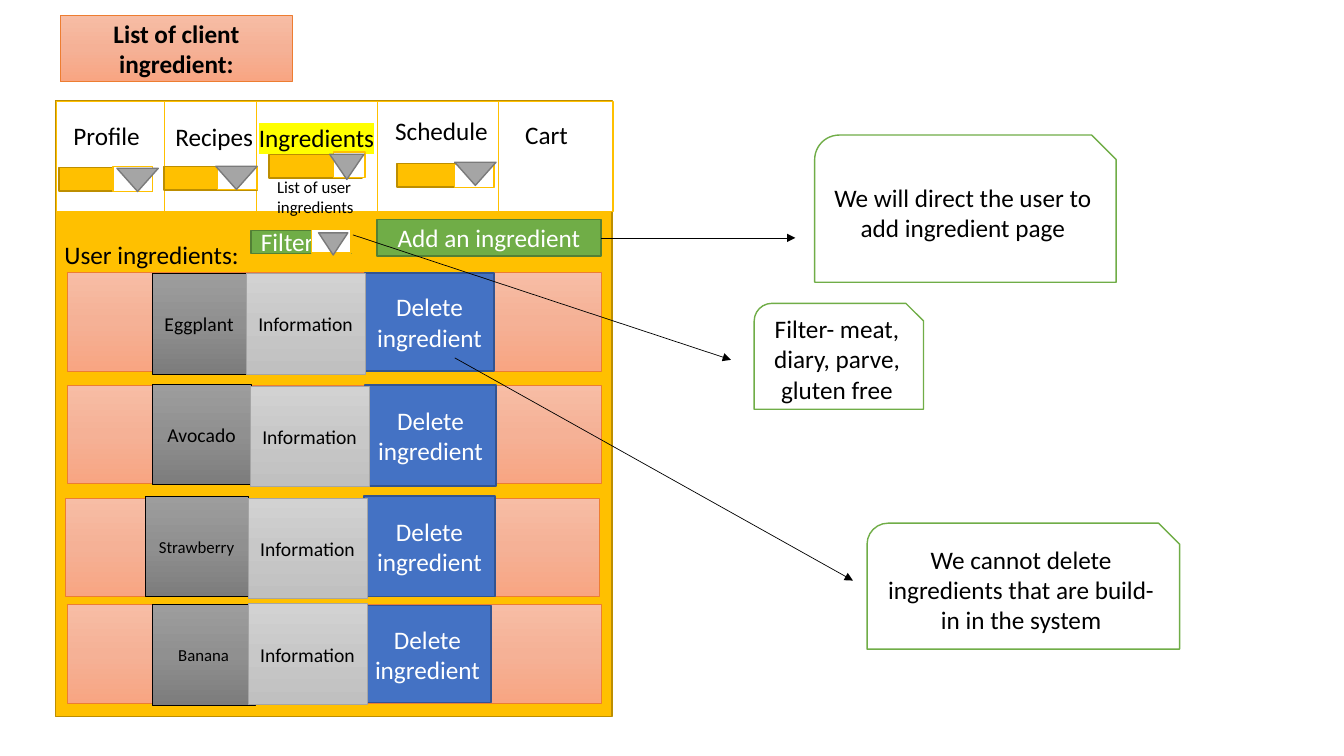
from copy import deepcopy

from pptx import Presentation
from pptx.dml.color import RGBColor
from pptx.enum.shapes import MSO_CONNECTOR, MSO_SHAPE as Shape
from pptx.enum.text import MSO_ANCHOR as Anchor, MSO_AUTO_SIZE as AutoSize, PP_ALIGN as Align
from pptx.oxml.ns import qn
from pptx.util import Inches, Pt

BLACK, WHITE, GOLD, GREEN = "000000", "FFFFFF", "FFC000", "70AD47"
DARK_GOLD, DARK_GREEN, SILVER = "BD8E00", "538035", "A5A5A5"
PEACH = ("F7BDA5", "F5B196", "F8A582")
DARK_GREY = ("9D9D9D", "909090", "7C7C7C")
LIGHT_GREY = ("D2D2D2", "C8C8C8", "C0C0C0")


def color(value):
    return RGBColor.from_string(value)


class Wireframe:
    font = "Calibri"

    def __init__(self, page):
        self.page = page

    def paint(self, box, fill, line, width):
        if isinstance(fill, tuple):
            box.fill.gradient()
            box.fill.gradient_angle = 270
            stops = box.element.spPr.find(".//" + qn("a:gsLst"))
            stops.insert(1, deepcopy(stops[0]))
            for stop, shade, position in zip(box.fill.gradient_stops, fill, (0, 0.5, 1)):
                stop.color.rgb = color(shade)
                stop.position = position
        else:
            box.fill.solid()
            box.fill.fore_color.rgb = color(fill)
        box.line.color.rgb = color(line)
        box.line.width = Pt(width)

    def add_text(self, box, text, size, ink, align=Align.CENTER, bold=False, highlight=None):
        box.text_frame.word_wrap = True
        para = box.text_frame.paragraphs[0]
        para.alignment = align
        span = para.add_run()
        span.text = text
        span.font.name = self.font
        span.font.size = Pt(size)
        span.font.bold = bold
        span.font.color.rgb = color(ink)
        if highlight:
            ink_fill = box.element.find(".//" + qn("a:rPr")).find(qn("a:solidFill"))
            mark = ink_fill.makeelement(qn("a:highlight"), {})
            mark.append(mark.makeelement(qn("a:srgbClr"), {"val": highlight}))
            ink_fill.addnext(mark)

    def title(self, text, place):
        box = self.page.shapes.title
        box.left, box.top, box.width, box.height = map(Inches, place)
        self.paint(box, PEACH, "ED7D31", 0.5)
        box.text_frame.auto_size = AutoSize.NONE
        box.text_frame.vertical_anchor = Anchor.MIDDLE
        self.add_text(box, text, 18, BLACK, bold=True)

    def label(self, text, place, size=18, highlight=None):
        box = self.page.shapes.add_textbox(*map(Inches, place))
        box.text_frame.auto_size = AutoSize.SHAPE_TO_FIT_TEXT
        self.add_text(box, text, size, BLACK, Align.LEFT, highlight=highlight)

    def shape(self, kind, place, fill, line, width=1, text=None, size=18, ink=BLACK,
              align=Align.CENTER):
        box = self.page.shapes.add_shape(kind, *map(Inches, place))
        box.shadow.inherit = False
        self.paint(box, fill, line, width)
        if text:
            box.text_frame.vertical_anchor = Anchor.MIDDLE
            self.add_text(box, text, size, ink, align)
        return box

    def dropdown(self, bar, window, triangle, fill=GOLD, line=DARK_GOLD, text=None):
        self.shape(Shape.MATH_MINUS, bar, fill, line, text=text, ink=WHITE, align=Align.LEFT)
        self.shape(Shape.FLOWCHART_PROCESS, window, WHITE, GOLD)
        self.shape(Shape.FLOWCHART_MERGE, triangle, SILVER, "7A7A7A")

    def line(self, start, end, ink=BLACK, arrow=False):
        link = self.page.shapes.add_connector(MSO_CONNECTOR.STRAIGHT, *map(Inches, start + end))
        link.line.color.rgb = color(ink)
        link.line.width = Pt(0.5)
        properties = link.element.spPr
        if arrow:
            stroke = properties.find(qn("a:ln"))
            stroke.append(stroke.makeelement(qn("a:tailEnd"), {"type": "triangle"}))
        properties.append(properties.makeelement(qn("a:effectLst"), {}))
        return link

    def callout(self, text, place):
        self.shape(Shape.SNIP_ROUND_RECTANGLE, place, WHITE, GREEN, text=text)

    def ingredient_row(self, bar, delete, name, name_size, card, info):
        process = Shape.FLOWCHART_PROCESS
        self.shape(Shape.RECTANGLE, bar + (5.29, 0.98), PEACH, "ED7D31", 0.5)
        self.shape(process, delete, "4472C4", "325491", text="Delete ingredient", ink=WHITE)
        self.shape(process, card, DARK_GREY, BLACK, 0.5, name, name_size)
        self.shape(process, info + (1.18, 1), LIGHT_GREY, SILVER, 0.5, "Information", 14)


TABS = [
    ("Profile", (0.63, 1.14, 1.08, 0.4), None),
    ("Recipes", (1.64, 1.15, 1.08, 0.4), None),
    ("Ingredients", (2.47, 1.16, 1.46, 0.4), "FFFF00"),
    ("Schedule", (3.82, 1.09, 1.26, 0.4), None),
    ("Cart", (5.11, 1.13, 0.78, 0.4), None),
]
TAB_DROPDOWNS = [
    ((0.42, 1.29, 1.26, 0.98), (1.12, 1.65, 0.39, 0.25), (1.16, 1.67, 0.41, 0.23)),
    ((1.46, 1.28, 1.26, 0.98), (2.16, 1.65, 0.39, 0.23), (2.14, 1.65, 0.41, 0.23)),
    ((2.5, 1.16, 1.26, 0.98), (3.31, 1.51, 0.31, 0.25), (3.27, 1.53, 0.34, 0.25)),
    ((3.77, 1.25, 1.26, 0.98), (4.51, 1.63, 0.39, 0.23), (4.51, 1.61, 0.41, 0.23)),
]
INGREDIENTS = [
    ((0.67, 2.7), (3.62, 2.71, 1.28, 0.97), "Eggplant", 14, (1.51, 2.71, 0.93, 1), (2.44, 2.71)),
    ((0.67, 3.82), (3.62, 3.82, 1.3, 1), "Avocado", 14, (1.51, 3.81, 0.98, 1), (2.48, 3.83)),
    ((0.65, 4.94), (3.61, 4.92, 1.3, 1), "Strawberry", 12, (1.44, 4.92, 1.02, 1), (2.46, 4.94)),
    ((0.67, 6), (3.61, 6.01, 1.26, 0.96), "Banana", 12, (1.51, 6, 1.02, 1), (2.46, 5.99)),
]
CALLOUTS = [
    ("We will direct the user to add ingredient page", (8.08, 1.34, 2.99, 1.46)),
    ("Filter- meat, diary, parve, gluten free", (7.48, 3.01, 1.68, 1.05)),
    ("We cannot delete ingredients that are build-in in the system", (8.6, 5.19, 3.1, 1.25)),
]


def main():
    deck = Presentation()
    deck.slide_width, deck.slide_height = Inches(13.33), Inches(7.5)
    frame = Wireframe(deck.slides.add_slide(deck.slide_layouts[5]))

    frame.title("List of client ingredient:", (0.6, 0.15, 2.3, 0.66))
    frame.shape(Shape.RECTANGLE, (0.55, 1, 5.52, 6.11), GOLD, DARK_GOLD)
    frame.shape(Shape.RECTANGLE, (0.56, 1.01, 5.52, 1.09), WHITE, GOLD)
    for x in (1.63, 2.54, 3.74, 4.94):
        frame.line((x, 2.09), (x, 1), GOLD)
    for text, place, highlight in TABS:
        frame.label(text, place, highlight=highlight)
    for parts in TAB_DROPDOWNS:
        frame.dropdown(*parts)
    frame.label("List of user ingredients", (2.65, 1.7, 1.28, 0.5), 12)

    frame.label("User ingredients:", (0.54, 2.33, 3.57, 0.4))
    add_button = frame.shape(Shape.FLOWCHART_PROCESS, (3.74, 2.18, 2.22, 0.36), GREEN, DARK_GREEN,
                             text="Add an ingredient", ink=WHITE)
    frame.dropdown((2.31, 1.91, 1.36, 0.98), (3.09, 2.28, 0.39, 0.23), (3.16, 2.31, 0.29, 0.22),
                   GREEN, DARK_GREEN, "Filter")
    for row in INGREDIENTS:
        frame.ingredient_row(*row)

    frame.line((5.96, 2.36), (7.89, 2.36), arrow=True).begin_connect(add_button, 3)
    frame.line((3.5, 2.33), (7.25, 3.57), arrow=True)
    frame.line((4.51, 3.55), (8.46, 5.76), arrow=True)
    for text, place in CALLOUTS:
        frame.callout(text, place)

    deck.save("out.pptx")


if __name__ == "__main__":
    main()
